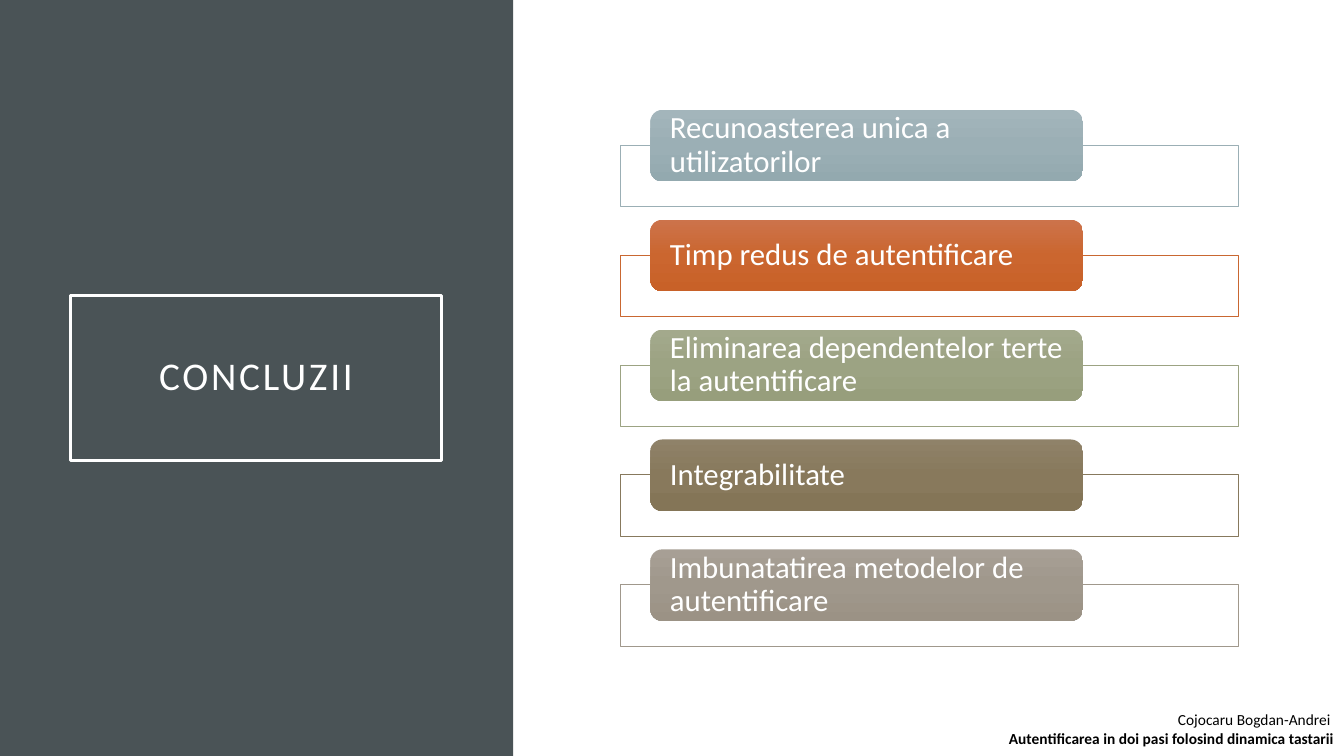
from copy import deepcopy
from dataclasses import dataclass

from lxml.etree import SubElement
from pptx import Presentation
from pptx.dml.color import RGBColor
from pptx.enum.shapes import MSO_SHAPE as Shape
from pptx.enum.text import MSO_ANCHOR as Anchor, MSO_AUTO_SIZE as AutoSize, PP_ALIGN as Align
from pptx.oxml.ns import qn
from pptx.util import Emu, Pt

PX = 9144  # 100 px to the inch


@dataclass(frozen=True)
class Theme:
    font: str = "Calibri"
    panel: str = "4A5356"
    light: str = "FFFFFF"
    dark: str = "000000"
    title_size: int = 28
    label_size: int = 22
    footer_size: int = 11
    title_line: float = 2.5
    frame_line: float = 0.5


THEME = Theme()

# label, frame line colour, gradient from top to bottom
CONCLUSIONS = [
    ("Recunoasterea unica a utilizatorilor", "9BAFB5", ("A3B5BB", "9BAFB5", "93A9AF")),
    ("Timp redus de autentificare", "C96731", ("CC734B", "CB662F", "C86128")),
    ("Eliminarea dependentelor terte la autentificare", "9CA383", ("A3A98C", "9CA383", "979E7C")),
    ("Integrabilitate", "87795D", ("8F8269", "88795C", "847557")),
    ("Imbunatatirea metodelor de autentificare", "A0988C", ("A79F95", "A0988C", "9B9285")),
]
FOOTER = ("Cojocaru Bogdan-Andrei ", "Autentificarea in doi pasi folosind dinamica tastarii")


def px(*lengths):
    return [Emu(length * PX) for length in lengths]


def rgb(colour):
    return RGBColor.from_string(colour)


def style_text(para, size, colour, align, spacing=None):
    para.alignment = align
    para.line_spacing = spacing
    for span in para.runs:
        span.font.name = THEME.font
        span.font.size = Pt(size)
        span.font.color.rgb = rgb(colour)


def set_margins(frame, left, top, right, bottom):
    (frame.margin_left, frame.margin_top,
     frame.margin_right, frame.margin_bottom) = px(left, top, right, bottom)


def add_box(page, kind, box, fill=None):
    shape = page.shapes.add_shape(kind, *px(*box))
    shape.shadow.inherit = False
    shape.line.fill.background()
    if fill:
        shape.fill.solid()
        shape.fill.fore_color.rgb = rgb(fill)
    return shape


def fill_gradient(shape, colours):
    """Fill from top to bottom with evenly spaced colours."""
    shape.fill.gradient()
    shape.fill.gradient_angle = 270
    stop_list = shape.element.spPr.find(qn("a:gradFill")).find(qn("a:gsLst"))
    for _ in colours[2:]:
        stop_list.append(deepcopy(stop_list[0]))
    for index, (stop, colour) in enumerate(zip(shape.fill.gradient_stops, colours)):
        stop.position = index / (len(colours) - 1)
        stop.color.rgb = rgb(colour)


def add_title_panel(page, box):
    left, top, width, height = box
    panel = add_box(page, Shape.RECTANGLE, box, THEME.panel)
    title = page.shapes.title
    panel.element.addnext(title.element)
    title.left, title.top, title.width, title.height = px(left + 70, top + 293, width - 141, 164)
    title.line.color.rgb = rgb(THEME.light)
    title.line.width = Pt(THEME.title_line)
    frame = title.text_frame
    frame.text = "CONCLUZII"
    frame.word_wrap = True
    frame.auto_size = AutoSize.NONE
    frame.vertical_anchor = Anchor.MIDDLE
    set_margins(frame, 20, 20, 20, 20)
    para = frame.paragraphs[0]
    style_text(para, THEME.title_size, THEME.light, Align.CENTER, 0.9)
    para.runs[0].font._element.set("spc", "200")


def add_conclusion(page, box, label, line, gradient):
    left, top, width, height = box
    back = add_box(page, Shape.RECTANGLE, (left, top + 35, width, height - 35), THEME.light)
    SubElement(back.element.spPr.find(".//" + qn("a:srgbClr")), qn("a:alpha"), val="90000")
    back.line.color.rgb = rgb(line)
    back.line.width = Pt(THEME.frame_line)

    tab = add_box(page, Shape.ROUNDED_RECTANGLE, (left + 30, top, 429, 71))
    fill_gradient(tab, gradient)
    frame = tab.text_frame
    frame.text = label
    frame.word_wrap = True
    frame.vertical_anchor = Anchor.MIDDLE
    set_margins(frame, 16, 0, 15, 0)
    style_text(frame.paragraphs[0], THEME.label_size, THEME.light, Align.LEFT, 0.9)


def add_conclusions(page, box):
    left, top, width, height = box
    pitch = 109
    row_height = height - pitch * (len(CONCLUSIONS) - 1)
    for row, conclusion in enumerate(CONCLUSIONS):
        add_conclusion(page, (left, top + row * pitch, width, row_height), *conclusion)


def add_footer(page, box):
    frame = page.shapes.add_textbox(*px(*box)).text_frame
    frame.word_wrap = True
    frame.text = "\n".join(FOOTER)
    for para in frame.paragraphs:
        style_text(para, THEME.footer_size, THEME.dark, Align.RIGHT)
    frame.paragraphs[1].runs[0].font.bold = True


def main():
    deck = Presentation()
    deck.slide_width, deck.slide_height = px(1333, 750)
    page = deck.slides.add_slide(deck.slide_layouts[5])
    add_title_panel(page, (0, 0, 509, 750))
    add_conclusions(page, (615, 109, 613, 532))
    add_footer(page, (951, 700, 382, 47))
    deck.save("out.pptx")


if __name__ == "__main__":
    main()
